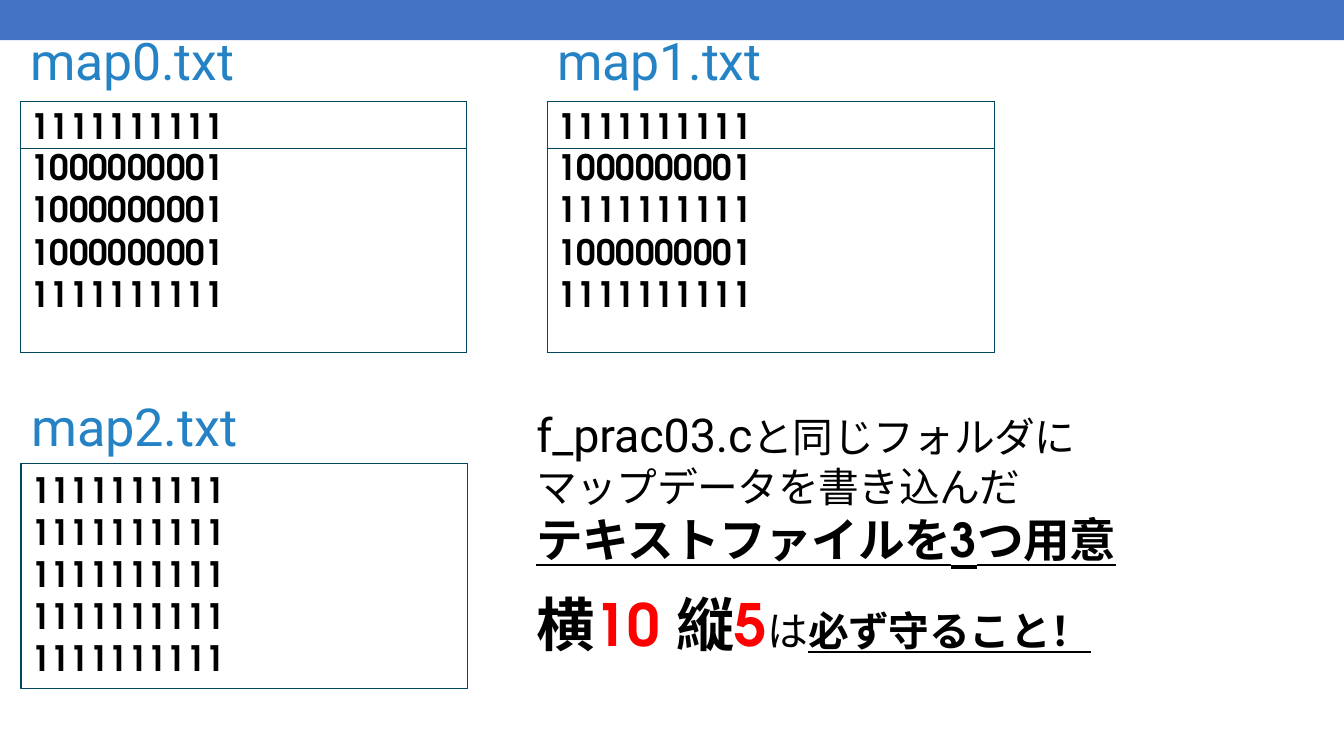
from pptx import Presentation
from pptx.dml.color import RGBColor
from pptx.enum.shapes import MSO_SHAPE
from pptx.enum.text import MSO_ANCHOR, MSO_AUTO_SIZE, PP_ALIGN
from pptx.oxml import parse_xml
from pptx.oxml.ns import nsdecls, qn
from pptx.util import Inches, Pt

RECTANGLE = MSO_SHAPE.RECTANGLE
TOP = MSO_ANCHOR.TOP
LEFT = PP_ALIGN.LEFT
GROW = MSO_AUTO_SIZE.SHAPE_TO_FIT_TEXT

ROBOTO, DIGITS, JAPANESE = "Roboto", "TeX Gyre Adventor", "Noto Sans CJK JP"
BLUE, TITLE, BORDER = "4472C4", "2583C5", "05465F"
WHITE, BLACK, RED = "FFFFFF", "000000", "FF0000"
NO_STYLE = "{2D5ABB26-0587-4C30-8999-92F81FD0307C}"

WALL, ROOM = "1111111111", "1000000001"
# Table column -> file name and map rows
TABLE_MAPS = {
    0: ("map0.txt", [WALL, ROOM, ROOM, ROOM, WALL]),
    2: ("map1.txt", [WALL, ROOM, WALL, ROOM, WALL]),
}
COLUMN_WIDTHS = [4.43, 0.8, 4.43]
ROW_HEIGHTS = [0.69, 0.46, 0.42, 0.42, 0.42, 0.77]
LAST_MAP = ("map2.txt", [WALL] * 5)

# Paragraphs: space before, then runs of
# (text, size, font, colour, bold, underline, letter spacing)
INSTRUCTIONS = [
    (0.9, [("f_prac03.c", 33.3, ROBOTO, BLACK, False, False, -0.1),
           ("と同じフォルダに\nマップデータを書き込んだ", 29.1, JAPANESE, BLACK, False, False, -0.4)]),
    (0.1, [("テキストファイルを", 33.3, JAPANESE, BLACK, True, True, -0.4),
           ("3", 33.3, DIGITS, BLACK, True, True, -0.1),
           ("つ用意", 33.3, JAPANESE, BLACK, True, True, -0.4)]),
    (14.9, [("横", 41.6, JAPANESE, BLACK, True, False, -0.3),
            ("10 ", 41.6, DIGITS, RED, True, False, 0),
            ("縦", 41.6, JAPANESE, BLACK, True, False, -0.3),
            ("5", 41.6, DIGITS, RED, True, False, -0.1),
            ("は", 29.1, JAPANESE, BLACK, False, False, -0.3),
            ("必ず守ること！", 29.1, JAPANESE, BLACK, True, True, -0.3)]),
]


def color(value):
    return RGBColor.from_string(value)


def style_font(font, size, name, value, bold=False, underline=False, spacing=-0.1):
    font.size, font.name = Pt(size), name
    font.bold, font.underline = bold, underline
    font.color.rgb = color(value)
    properties = font._rPr
    properties.set("spc", str(round(spacing * 100)))
    if name == JAPANESE:
        latin = properties.find(qn("a:latin"))
        latin.addnext(parse_xml(f'<a:ea {nsdecls("a")} typeface="{name}"/>'))


def format_paragraph(paragraph, indent, before=0.0, line=None):
    paragraph.alignment = LEFT
    paragraph.space_before = Pt(before)
    if line:
        paragraph.line_spacing = Pt(line)
    properties = paragraph._p.get_or_add_pPr()
    properties.set("marL", str(Inches(indent)))
    properties.set("indent", "0")


def set_margins(target, top=0.0):
    target.margin_left = target.margin_right = target.margin_bottom = 0
    target.margin_top = Inches(top)


def prepare_frame(shape, top):
    frame = shape.text_frame
    frame.word_wrap = True
    frame.auto_size = GROW
    frame.vertical_anchor = TOP
    set_margins(frame, top)
    return frame


def add_rectangle(slide, left, top, width, height, fill, line=None):
    shape = slide.shapes.add_shape(
        RECTANGLE, Inches(left), Inches(top), Inches(width), Inches(height))
    shape.shadow.inherit = False
    shape.fill.solid()
    shape.fill.fore_color.rgb = color(fill)
    if line:
        shape.line.color.rgb = color(line)
        shape.line.width = Pt(1)
    else:
        shape.line.fill.background()
    return shape


def add_text_box(slide, left, top, width, height):
    box = slide.shapes.add_textbox(Inches(left), Inches(top), Inches(width), Inches(height))
    return prepare_frame(box, 0.01)


def add_borders(cell, sides):
    """Draw the given sides, in the order L, R, T, B."""
    properties = cell._tc.get_or_add_tcPr()
    for side in sides:
        properties.append(parse_xml(
            f'<a:ln{side} {nsdecls("a")} w="{Pt(1)}"><a:solidFill>'
            f'<a:srgbClr val="{BORDER}"/></a:solidFill></a:ln{side}>'))


def add_map_table(slide):
    frame = slide.shapes.add_table(
        len(ROW_HEIGHTS), len(COLUMN_WIDTHS), Inches(0.2), Inches(0.32),
        Inches(sum(COLUMN_WIDTHS)), Inches(sum(ROW_HEIGHTS)))
    table = frame.table
    table.first_row = table.horz_banding = False
    table._tbl.tblPr.find(qn("a:tableStyleId")).text = NO_STYLE
    for column, width in zip(table.columns, COLUMN_WIDTHS):
        column.width = Inches(width)
    for row, height in zip(table.rows, ROW_HEIGHTS):
        row.height = Inches(height)
    for cell in table.iter_cells():
        set_margins(cell)

    last = len(ROW_HEIGHTS) - 1
    row_sides = {0: "B", 1: "LRTB", last: "LRB"}
    for column, (name, lines) in TABLE_MAPS.items():
        for row, text in enumerate([name] + lines):
            cell = table.cell(row, column)
            add_borders(cell, row_sides.get(row, "LR"))
            cell.text = text
            paragraph = cell.text_frame.paragraphs[0]
            if row == 0:
                format_paragraph(paragraph, 0.1, 0.2)
                style_font(paragraph.font, 37, ROBOTO, TITLE)
                continue
            cell.fill.solid()
            cell.fill.fore_color.rgb = color(WHITE)
            if row == 1:
                set_margins(cell, 0.05)
            format_paragraph(paragraph, 0.1, 3.1 if row == 1 else 0, 27.8)
            style_font(paragraph.font, 25, DIGITS, BLACK, True)


def add_last_map(slide):
    name, lines = LAST_MAP
    frame = prepare_frame(add_rectangle(slide, 0.21, 4.6, 4.43, 2.23, WHITE, BORDER), 0.05)
    frame.text = "\n".join(lines)
    for index, paragraph in enumerate(frame.paragraphs):
        format_paragraph(paragraph, 0.1, 0 if index else 3.3)
        style_font(paragraph.font, 25, DIGITS, BLACK, True)

    title = add_text_box(slide, 0.3, 3.9, 2.99, 0.67)
    title.text = name
    format_paragraph(title.paragraphs[0], 0.01, 1)
    style_font(title.paragraphs[0].font, 37.4, ROBOTO, TITLE)


def add_instructions(slide):
    frame = add_text_box(slide, 5.31, 4.02, 6.84, 2.53)
    for index, (before, runs) in enumerate(INSTRUCTIONS):
        paragraph = frame.add_paragraph() if index else frame.paragraphs[0]
        format_paragraph(paragraph, 0.01, before)
        for text, *style in runs:
            for part, line in enumerate(text.split("\n")):
                if part:
                    paragraph.add_line_break()
                run = paragraph.add_run()
                run.text = line
                style_font(run.font, *style)


def main():
    presentation = Presentation()
    presentation.slide_width, presentation.slide_height = Inches(13.33), Inches(7.5)
    slide = presentation.slides.add_slide(presentation.slide_layouts[6])
    add_rectangle(slide, 0, 0, 13.33, 0.4, BLUE)
    add_map_table(slide)
    add_last_map(slide)
    add_instructions(slide)
    presentation.save("out.pptx")


if __name__ == "__main__":
    main()
